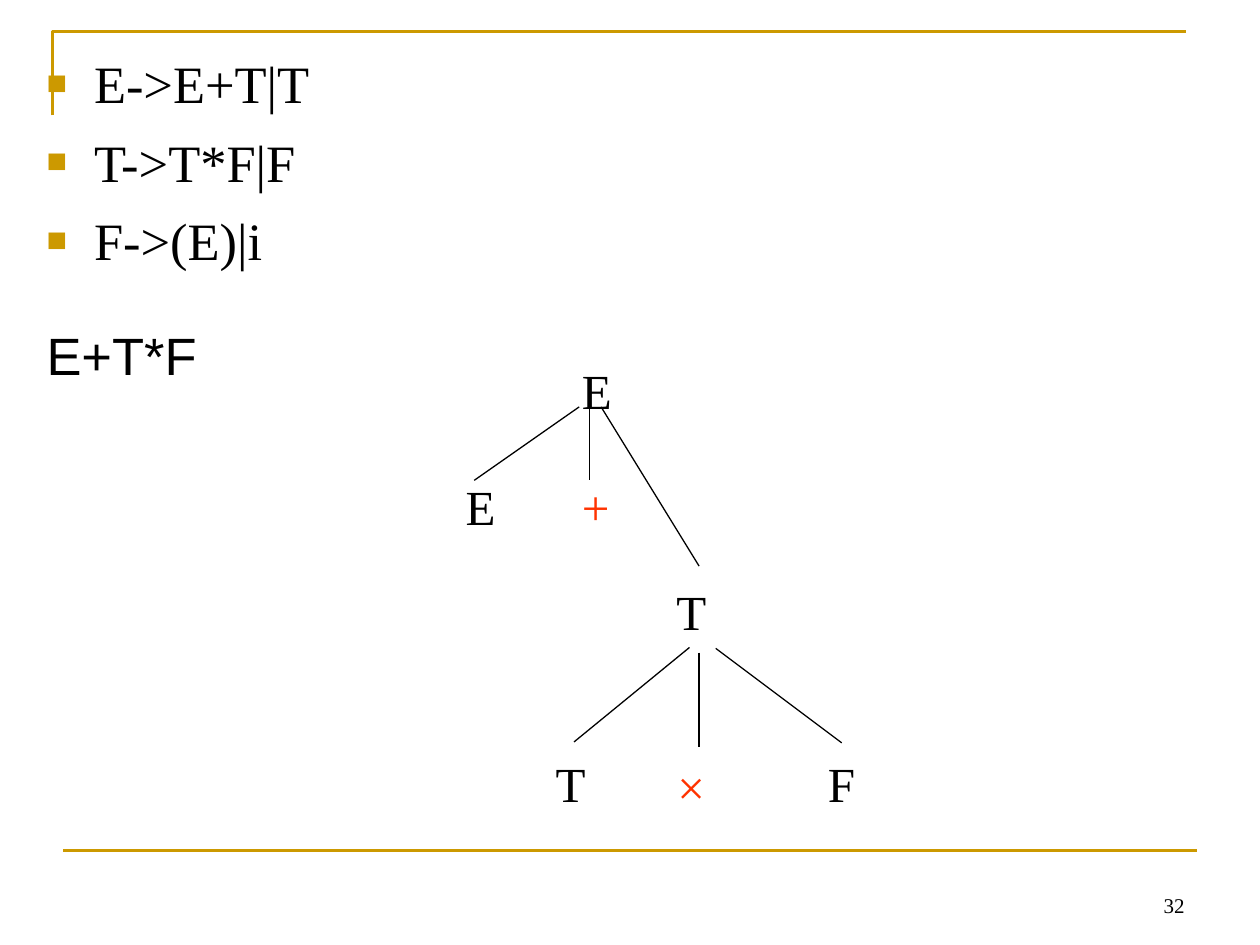
import pptx
import pptx.dml.color
import pptx.enum.shapes
import pptx.enum.text
import pptx.util
from lxml import etree

Pt = pptx.util.Pt
RGB = pptx.dml.color.RGBColor.from_string
ALIGN = pptx.enum.text.PP_ALIGN
ANCHOR = pptx.enum.text.MSO_ANCHOR

THEME = {
    "gold": RGB("CC9900"), "ink": RGB("000000"), "operator": RGB("FF3300"),
    "serif": "Times New Roman", "sans": "Arial",
    "grammar": Pt(30), "node": Pt(28), "number": Pt(12),
}

deck = pptx.Presentation()
deck.slide_width, deck.slide_height = Pt(720), Pt(540)
page = deck.slides.add_slide(deck.slide_layouts.get_by_name("Title and Content"))
title = page.shapes.title
title.element.getparent().remove(title.element)


def add_line(start, end, color, width):
    line = page.shapes.add_connector(
        pptx.enum.shapes.MSO_CONNECTOR.STRAIGHT, *map(Pt, start + end))
    line.line.color.rgb = color
    line.line.width = Pt(width)
    etree.SubElement(line.element.spPr, pptx.oxml.ns.qn("a:effectLst"))


def add_label(text, bounds, size, color="ink", font="serif",
              align=ALIGN.LEFT, anchor=ANCHOR.TOP):
    box = page.shapes.add_textbox(*map(Pt, bounds))
    frame = box.text_frame
    frame.word_wrap = True
    frame.vertical_anchor = anchor
    para = frame.paragraphs[0]
    para.alignment = align
    span = para.add_run()
    span.text = text
    style = {"size": THEME[size], "name": THEME[font]}
    for name, value in style.items():
        setattr(span.font, name, value)
    span.font.color.rgb = THEME[color]


# Page frame
corner = page.shapes.build_freeform(Pt(30), Pt(66), scale=1.0)
corner.add_line_segments([(Pt(30), Pt(18)), (Pt(678), Pt(18))], close=False)
bracket = corner.convert_to_shape()
bracket.shadow.inherit = False
bracket.fill.background()
bracket.line.color.rgb = THEME["gold"]
bracket.line.width = Pt(1.5)
add_line((36, 486), (684, 486), THEME["gold"], 1.5)
add_label("32", (516, 492, 168, 36), "number", align=ALIGN.RIGHT, anchor=ANCHOR.BOTTOM)

# Grammar rules
rules = page.placeholders[1]
bounds = {"left": 19.5, "top": 21.5, "width": 199.5, "height": 356.5}
for name, value in bounds.items():
    setattr(rules, name, Pt(value))
frame = rules.text_frame
frame.auto_size = pptx.enum.text.MSO_AUTO_SIZE.NONE
frame.margin_top = Pt(7.5)
for index, rule in enumerate(["E->E+T|T", "T->T*F|F", "F->(E)|i"]):
    para = frame.paragraphs[0] if index == 0 else frame.add_paragraph()
    properties = para._p.get_or_add_pPr()
    properties.set("marL", str(Pt(27)))
    properties.set("indent", str(-Pt(27)))
    bullet_color = etree.SubElement(properties, pptx.oxml.ns.qn("a:buClr"))
    etree.SubElement(bullet_color, pptx.oxml.ns.qn("a:srgbClr"), val=str(THEME["gold"]))
    etree.SubElement(properties, pptx.oxml.ns.qn("a:buSzPct"), val="65000")
    etree.SubElement(properties, pptx.oxml.ns.qn("a:buChar"), char="■")
    para.space_before = Pt(9 if index else 0)
    span = para.add_run()
    span.text = rule
    style = {"size": THEME["grammar"], "name": THEME["serif"]}
    for name, value in style.items():
        setattr(span.font, name, value)
    span.font.color.rgb = THEME["ink"]

add_label("E+T*F", (19.5, 181, 245, 43), "grammar", font="sans")

# Parse tree
branches = [
    ((331, 232.5), (271, 274.5)), ((337, 232.5), (337, 274.5)),
    ((343.5, 232.5), (399.5, 323.5)),
    ((399.5, 373), (399.5, 427)), ((394, 370), (328, 424)),
    ((409, 370.5), (481, 424.5)),
]
for start, end in branches:
    add_line(start, end, THEME["ink"], 0.75)

nodes = [
    ("E", 325.5, 202.5, 30, "ink"),
    ("E", 259, 268.5, 30, "ink"), ("+", 325.5, 268.5, 30, "operator"),
    ("T", 379.5, 329, 30, "ink"),
    ("T", 310.5, 427, 30, "ink"), ("×", 380, 428.5, 48, "operator"),
    ("F", 466, 427, 30, "ink"),
]
for symbol, left, top, width, color in nodes:
    add_label(symbol, (left, top, width, 41), "node", color)

deck.save("out.pptx")
